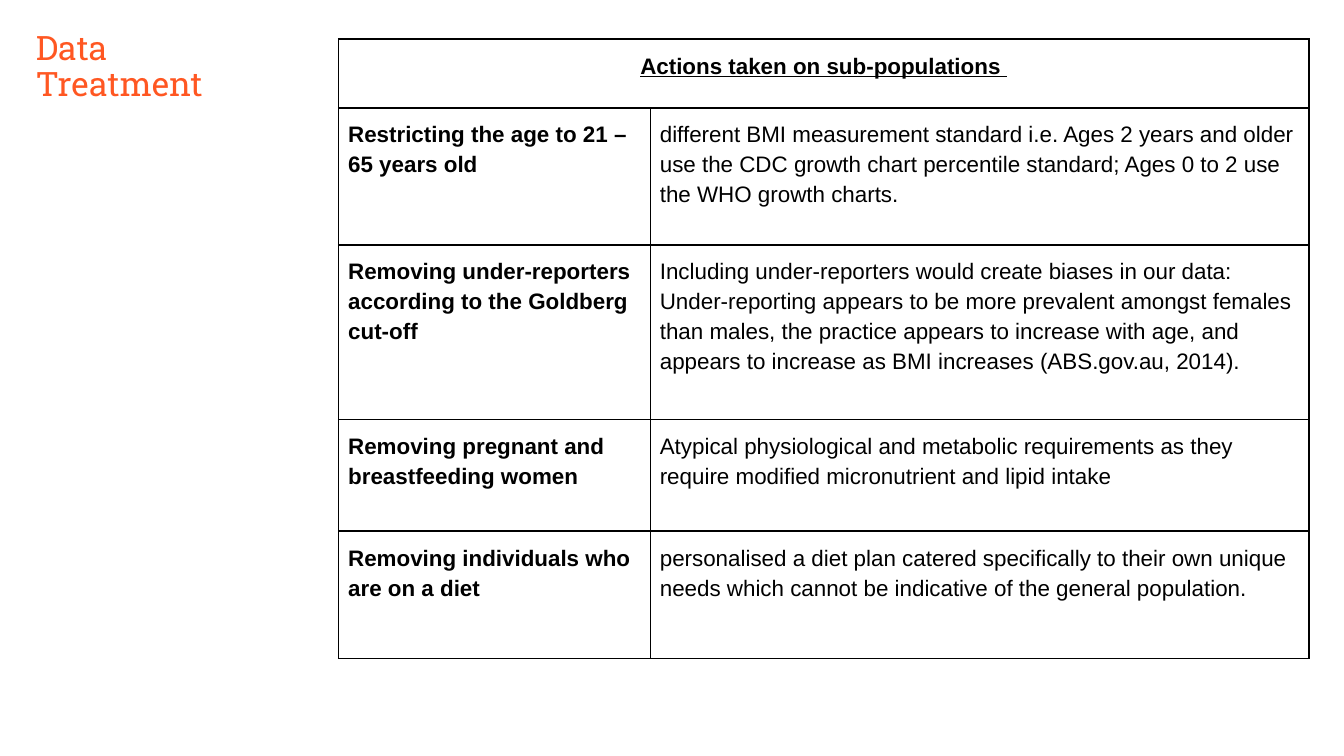
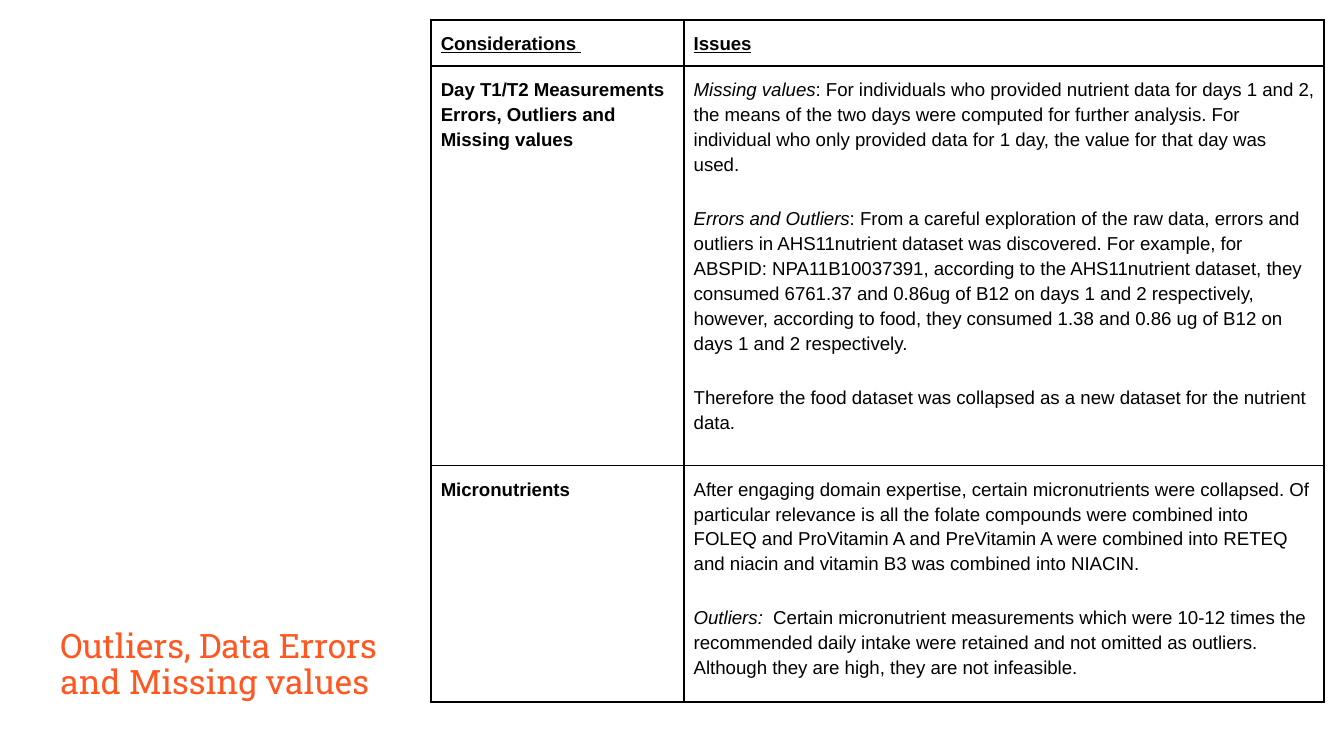
from dataclasses import dataclass
from lxml.etree import SubElement
from pptx import Presentation
from pptx.dml.color import RGBColor
from pptx.enum.text import MSO_ANCHOR, PP_ALIGN
from pptx.oxml import parse_xml
from pptx.oxml.ns import nsdecls, qn
from pptx.util import Cm, Pt


@dataclass(frozen=True)
class Theme:
    accent: str = "FF5722"
    ink: str = "000000"
    title_font: str = "Roboto Slab"
    body_font: str = "Arial"
    title_size: float = 18
    actions_size: float = 12
    issues_size: float = 10
    title_spacing: float = 0.9
    body_spacing: float = 1.2
    paragraph_gap: float = 15.5
    rule: float = 1
    title_inset: float = 0.25
    cell_inset: float = 0.18


THEME = Theme()

# Each cell is a list of paragraphs, each paragraph a list of (text, style) runs;
# style letters: b bold, i italic, u underline.
ACTIONS = [
    [[[("Actions taken on sub-populations ", "bu")]], None],
    [[[("Restricting the age to 21 – 65 years old", "b")]],
     [[("different BMI measurement standard i.e. Ages 2 years and older use the CDC "
        "growth chart percentile standard; Ages 0 to 2 use the WHO growth charts.", "")]]],
    [[[("Removing under-reporters according to the Goldberg cut-off", "b")]],
     [[("Including under-reporters would create biases in our data: Under-reporting "
        "appears to be more prevalent amongst females than males, the practice appears "
        "to increase with age, and appears to increase as BMI increases "
        "(ABS.gov.au, 2014).", "")]]],
    [[[("Removing pregnant and breastfeeding women", "b")]],
     [[("Atypical physiological and metabolic requirements as they require modified "
        "micronutrient and lipid intake", "")]]],
    [[[("Removing individuals who are on a diet", "b")]],
     [[("personalised a diet plan catered specifically to their own unique needs which "
        "cannot be indicative of the general population.", "")]]],
]

ISSUES = [
    [[[("Considerations ", "bu")]], [[("Issues", "bu")]]],
    [[[("Day T1/T2 Measurements Errors, Outliers and Missing values", "b")]],
     [[("Missing values", "i"),
       (": For individuals who provided nutrient data for days 1 and 2, the means of the "
        "two days were computed for further analysis. For individual who only provided "
        "data for 1 day, the value for that day was used.", "")],
      [("Errors and Outliers", "i"),
       (": From a careful exploration of the raw data, errors and outliers in "
        "AHS11nutrient dataset was discovered. For example, for ABSPID: NPA11B10037391, "
        "according to the AHS11nutrient dataset, they consumed 6761.37 and 0.86ug of B12 "
        "on days 1 and 2 respectively, however, according to food, they consumed 1.38 "
        "and 0.86 ug of B12 on days 1 and 2 respectively.", "")],
      [("Therefore the food dataset was collapsed as a new dataset for the nutrient "
        "data.", "")]]],
    [[[("Micronutrients", "b")]],
     [[("After engaging domain expertise, certain micronutrients were collapsed. Of "
        "particular relevance is all the folate compounds were combined into FOLEQ and "
        "ProVitamin A and PreVitamin A were combined into RETEQ and niacin and vitamin "
        "B3 was combined into NIACIN.", "")],
      [("Outliers: ", "i"),
       (" Certain micronutrient measurements which were 10-12 times the recommended "
        "daily intake were retained and not omitted as outliers. Although they are high, "
        "they are not infeasible.", "")]]],
]


def add_run(paragraph, text, font_name, size, color, style=""):
    run = paragraph.add_run()
    run.text = text
    font = run.font
    font.name, font.size = font_name, Pt(size)
    font.color.rgb = RGBColor.from_string(color)
    font.bold, font.italic, font.underline = (key in style for key in "biu")


def set_insets(holder, inset):
    holder.margin_left = holder.margin_right = Cm(inset)
    holder.margin_top = holder.margin_bottom = Cm(inset)


def add_title(slide, box, text):
    frame = slide.shapes.add_textbox(*map(Cm, box)).text_frame
    frame.word_wrap = True
    frame.vertical_anchor = MSO_ANCHOR.MIDDLE
    set_insets(frame, THEME.title_inset)
    heading = frame.paragraphs[0]
    heading.line_spacing = THEME.title_spacing
    add_run(heading, text, THEME.title_font, THEME.title_size, THEME.accent)


def rule_cell(cell):
    """Clear the fill and draw all four borders."""
    cell.fill.background()
    properties = cell._tc.get_or_add_tcPr()
    for position, side in enumerate("LRTB"):
        border = parse_xml(f'<a:ln{side} {nsdecls("a")} w="{Pt(THEME.rule)}"/>')
        fill = SubElement(border, qn("a:solidFill"))
        SubElement(fill, qn("a:srgbClr")).set("val", THEME.ink)
        properties.insert(position, border)


def fill_cell(cell, paragraphs, size, align):
    frame = cell.text_frame
    for index, runs in enumerate(paragraphs):
        paragraph = frame.add_paragraph() if index else frame.paragraphs[0]
        paragraph.line_spacing = THEME.body_spacing
        paragraph.alignment = align
        if index:
            paragraph.space_before = Pt(THEME.paragraph_gap)
        for text, style in runs:
            add_run(paragraph, text, THEME.body_font, size, THEME.ink, style)


def add_ruled_table(slide, origin, widths, heights, rows, size):
    box = (*origin, sum(widths), sum(heights))
    table = slide.shapes.add_table(len(rows), len(widths), *map(Cm, box)).table
    table.first_row = table.horz_banding = False
    for column, width in zip(table.columns, widths):
        column.width = Cm(width)
    for row, height in zip(table.rows, heights):
        row.height = Cm(height)
    for r, contents in enumerate(rows):
        spans = None in contents
        if spans:
            table.cell(r, 0).merge(table.cell(r, len(widths) - 1))
        for c, paragraphs in enumerate(contents):
            cell = table.cell(r, c)
            set_insets(cell, THEME.cell_inset)
            rule_cell(cell)
            if paragraphs:
                fill_cell(cell, paragraphs, size,
                          PP_ALIGN.CENTER if spans else PP_ALIGN.LEFT)


def add_table_slide(deck, title, title_box, **table):
    slide = deck.slides.add_slide(deck.slide_layouts[6])
    add_title(slide, title_box, title)
    add_ruled_table(slide, **table)


def main():
    deck = Presentation()
    deck.slide_width, deck.slide_height = Cm(25.4), Cm(14.29)

    # Actions on sub-populations
    add_table_slide(
        deck, "Data Treatment", (0.43, 0.46, 5.08, 1.65),
        origin=(6.4, 0.74), widths=(5.89, 12.45),
        heights=(1.3, 2.59, 3.3, 2.11, 2.41),
        rows=ACTIONS, size=THEME.actions_size)

    # Considerations and issues
    add_table_slide(
        deck, "Outliers, Data Errors and Missing values", (0.89, 11.76, 7.26, 1.65),
        origin=(8.15, 0.38), widths=(4.78, 12.09),
        heights=(0.81, 6.43, 3.84),
        rows=ISSUES, size=THEME.issues_size)

    deck.save("out.pptx")


if __name__ == "__main__":
    main()
